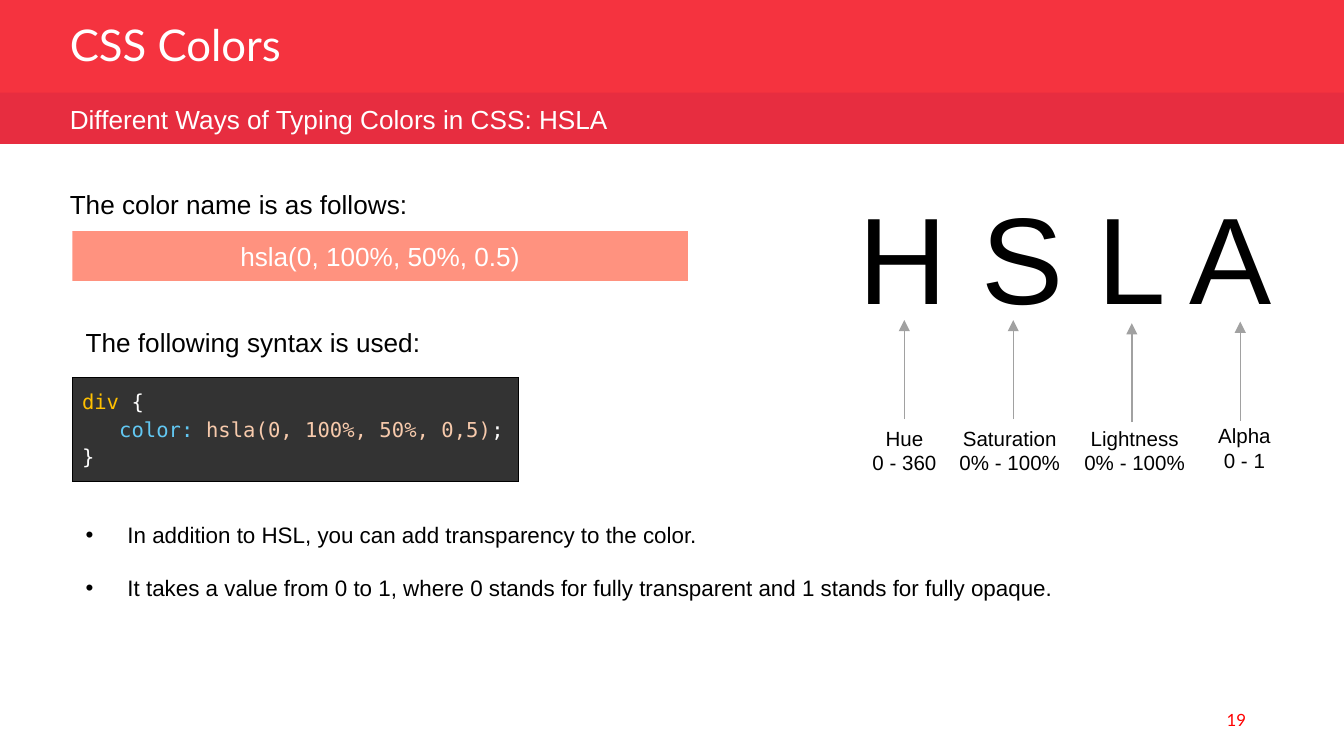
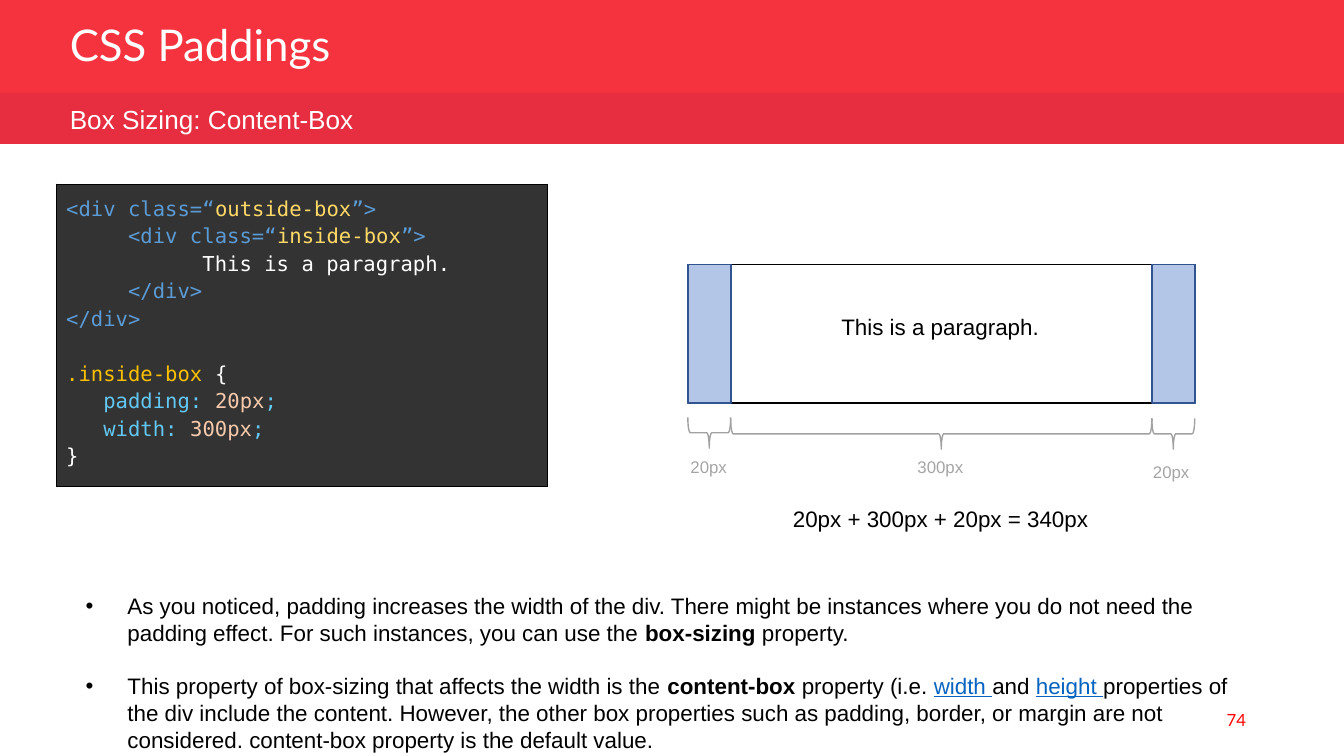
"""Build two lecture slides about CSS colors and CSS paddings."""
from lxml.etree import SubElement
from pptx import Presentation
from pptx.dml.color import RGBColor
from pptx.enum.shapes import MSO_CONNECTOR, MSO_SHAPE
from pptx.enum.text import MSO_ANCHOR, PP_ALIGN
from pptx.oxml.ns import qn
from pptx.util import Cm, Pt

COLORS = {
    "title band": "F5333F",
    "subtitle band": "E72D40",
    "page number": "FF0000",
    "white": "FFFFFF",
    "black": "000000",
    "sample": "FF2600",
    "gray": "A1A1A1",
    "measure": "A5A5A5",
    "padding": "B3C6E7",
    "padding edge": "31538F",
    "link": "0563C1",
    "code back": "333333",
    "selector": "FFC000",
    "property": "62C8F3",
    "value": "F7CAAC",
    "tag": "5B9BD5",
    "class": "FFD966",
}
BODY_FONT, TITLE_FONT, CODE_FONT = "Arial", "Lato", "DejaVu Sans Mono"
SLIDE_WIDTH, SLIDE_HEIGHT = 25.4, 14.29
MARGIN, INDENT = 1.07, 1.37

HSLA_PARTS = [
    ("Hue\n0 - 360", 16.23, 7.92, 1.73, 17.09, 7.92),
    ("Saturation\n0% - 100%", 17.88, 7.92, 2.41, 19.15, 7.92),
    ("Lightness\n0% - 100%", 20.24, 7.92, 2.41, 21.39, 7.98),
    ("Alpha\n0 - 1", 22.76, 7.87, 1.52, 23.44, 7.95),
]
ARROW_LENGTH = 1.87

HSLA_CODE = [
    [("div ", "selector"), ("{", "white")],
    [("   color: ", "property"), ("hsla(0, 100%, 50%, 0,5)", "value"), (";", "white")],
    [("}", "white")],
]
PADDING_CODE = [
    [("<div class=“", "tag"), ("outside-box", "class"), ("”>", "tag")],
    [("     <div class=“", "tag"), ("inside-box", "class"), ("”>", "tag")],
    [("           This is a paragraph.", "white")],
    [("     </div>", "tag")],
    [("</div>", "tag")],
    [],
    [(".inside-box ", "selector"), ("{", "white")],
    [("   padding: ", "property"), ("20px", "value"), (";", "property")],
    [("   width: ", "property"), ("300px", "value"), (";", "property")],
    [("}", "white")],
]
HSLA_NOTES = [
    [("In addition to HSL, you can add transparency to the color.", "black")],
    [("It takes a value from 0 to 1, where 0 stands for fully transparent "
      "and 1 stands for fully opaque.", "black")],
]
PADDING_NOTES = [
    [("As you noticed, padding increases the width of the div. There might be "
      "instances where you do not need the padding effect. For such instances, "
      "you can use the ", "black"),
     ("box-sizing", "black", "bold"),
     (" property.", "black")],
    [("This property of box-sizing that affects the width is the ", "black"),
     ("content-box ", "black", "bold"),
     ("property (i.e. ", "black"),
     ("width ", "link", "underline"),
     ("and ", "black"),
     ("height ", "link", "underline"),
     ("properties of the div include the content. However, the other box "
      "properties such as padding, border, or margin are not considered. "
      "content-box property is the default value.", "black")],
]


def rgb(name):
    """Return the named color."""
    return RGBColor.from_string(COLORS[name])


def style_span(span, size, color, font):
    """Set the font of one run."""
    span.font.size = Pt(size)
    span.font.name = font
    span.font.color.rgb = rgb(color)


def write_plain(frame, text, size, color, font=BODY_FONT, align=PP_ALIGN.LEFT):
    """Fill a text frame with text of one style."""
    frame.word_wrap = True
    frame.text = text
    for para in frame.paragraphs:
        para.alignment = align
        for span in para.runs:
            style_span(span, size, color, font)


def write_spans(frame, lines, size, font):
    """Fill a text frame with lines made of styled spans."""
    frame.word_wrap = True
    for index, line in enumerate(lines):
        para = frame.add_paragraph() if index else frame.paragraphs[0]
        for text, color, *emphasis in line:
            span = para.add_run()
            span.text = text
            style_span(span, size, color, font)
            if "bold" in emphasis:
                span.font.bold = True
            if "underline" in emphasis:
                span.font.underline = True
        if not line:
            end = SubElement(para._p, qn("a:endParaRPr"), sz=str(size * 100))
            SubElement(end, qn("a:latin"), typeface=font)


def add_text(page, text, left, top, width, height, size=14, color="black", **style):
    """Add a text box of one style and return its frame."""
    box = page.shapes.add_textbox(Cm(left), Cm(top), Cm(width), Cm(height))
    write_plain(box.text_frame, text, size, color, **style)
    return box.text_frame


def add_box(page, left, top, width, height, fill=None, line=None, kind=MSO_SHAPE.RECTANGLE,
            weight=1):
    """Add a preset shape with an optional fill and outline."""
    box = page.shapes.add_shape(kind, Cm(left), Cm(top), Cm(width), Cm(height))
    box.shadow.inherit = False
    if fill:
        box.fill.solid()
        box.fill.fore_color.rgb = rgb(fill)
    else:
        box.fill.background()
    if line:
        box.line.color.rgb = rgb(line)
        box.line.width = Pt(weight)
    else:
        box.line.fill.background()
    return box


def add_brace(page, left, top, length, depth=0.58):
    """Add a brace that opens upwards below a horizontal span."""
    shift = (length - depth) / 2
    brace = add_box(page, left + shift, top - shift, depth, length, line="gray",
                    kind=MSO_SHAPE.LEFT_BRACE, weight=0.75)
    brace.rotation = 270


def add_up_arrow(page, x, base):
    """Add an arrow that points up from its base."""
    arrow = page.shapes.add_connector(
        MSO_CONNECTOR.STRAIGHT, Cm(x), Cm(base), Cm(x), Cm(base - ARROW_LENGTH))
    arrow.line.color.rgb = rgb("gray")
    arrow.line.width = Pt(0.75)
    SubElement(arrow.get_or_add_ln(), qn("a:tailEnd"), type="triangle")
    SubElement(arrow._element.spPr, qn("a:effectLst"))


def add_code(page, lines, left, top, width, height):
    """Add a one-cell table that holds highlighted code."""
    table = page.shapes.add_table(1, 1, Cm(left), Cm(top), Cm(width), Cm(height)).table
    table.first_row = table.horz_banding = False
    cell = table.cell(0, 0)
    cell.margin_left = cell.margin_right = Cm(0.18)
    cell.margin_top = cell.margin_bottom = Cm(0.18)
    properties = cell._tc.get_or_add_tcPr()
    for side in ("lnL", "lnR", "lnT", "lnB"):
        edge = SubElement(properties, qn(f"a:{side}"), w=str(Pt(0.75)))
        fill = SubElement(edge, qn("a:solidFill"))
        SubElement(fill, qn("a:srgbClr"), val=COLORS["black"])
    cell.fill.solid()
    cell.fill.fore_color.rgb = rgb("code back")
    write_spans(cell.text_frame, lines, 11, CODE_FONT)
    for para in cell.text_frame.paragraphs:
        para.line_spacing = 1.15


def add_bullets(page, notes, top, height):
    """Add bulleted notes, one line apart."""
    box = page.shapes.add_textbox(Cm(INDENT), Cm(top), Cm(22.43), Cm(height))
    write_spans(box.text_frame, notes, 12, BODY_FONT)
    for index, para in enumerate(box.text_frame.paragraphs):
        properties = para._p.get_or_add_pPr()
        properties.set("marL", str(Cm(0.79)))
        properties.set("indent", str(-Cm(0.79)))
        color = SubElement(properties, qn("a:buClr"))
        SubElement(color, qn("a:srgbClr"), val=COLORS["black"])
        SubElement(properties, qn("a:buFont"), typeface=BODY_FONT)
        SubElement(properties, qn("a:buChar"), char="•")
        if index:
            para.space_before = Pt(14)


def add_page(deck, title, subtitle, number):
    """Add a slide with its bands, titles and page number."""
    page = deck.slides.add_slide(deck.slide_layouts[6])
    add_box(page, 0, 0, SLIDE_WIDTH, 1.78, "title band")
    add_box(page, 0, 1.75, SLIDE_WIDTH, 0.97, "subtitle band")
    heading = add_text(page, title, MARGIN, 0.36, 11.91, 1.12, 23.4, "white", font=TITLE_FONT)
    heading.vertical_anchor = MSO_ANCHOR.MIDDLE
    heading.paragraphs[0].line_spacing = 0.8
    add_text(page, subtitle, MARGIN, 1.83, 12.93, 0.86, color="white")
    footer = add_text(page, number, 18.08, 13.23, 5.72, 0.76, 9, "page number",
                      font=TITLE_FONT, align=PP_ALIGN.RIGHT)
    footer.vertical_anchor = MSO_ANCHOR.MIDDLE
    return page


def build_colors(deck):
    """Build the slide about HSLA colors."""
    page = add_page(deck, "CSS Colors", "Different Ways of Typing Colors in CSS: HSLA", "19")
    add_text(page, "The color name is as follows:", MARGIN, 3.43, 7.82, 0.86)
    sample = add_box(page, INDENT, 4.37, 11.63, 0.94, "sample")
    color = sample._element.spPr.find(f".//{qn('a:srgbClr')}")
    SubElement(color, qn("a:alpha"), val="50000")
    write_plain(sample.text_frame, "hsla(0, 100%, 50%, 0.5)", 14, "white",
                align=PP_ALIGN.CENTER)
    add_text(page, "The following syntax is used:", INDENT, 6.05, 9.19, 0.86)
    add_code(page, HSLA_CODE, INDENT, 7.14, 8.43, 1.9)
    add_text(page, "H S L A", 15.98, 3.3, 8.61, 3.07, 66)
    for label, left, top, width, arrow_x, arrow_base in HSLA_PARTS:
        add_text(page, label, left, top, width, 1.19, 11, align=PP_ALIGN.CENTER)
        add_up_arrow(page, arrow_x, arrow_base)
    add_bullets(page, HSLA_NOTES, 9.73, 2.31)


def build_paddings(deck):
    """Build the slide about content-box sizing."""
    page = add_page(deck, "CSS Paddings", "Box Sizing: Content-Box", "74")
    add_code(page, PADDING_CODE, MARGIN, 3.48, 9.27, 5.66)
    left, top, width, height, padding = 13, 5, 9.58, 2.62, 0.81
    content_left, right_padding = left + padding, left + width - padding
    add_box(page, left, top, width, height, line="black")
    add_text(page, "This is a paragraph.", 15.65, 5.79, 4.29, 0.76, 12)
    for padding_left in (left, right_padding):
        add_box(page, padding_left, top, padding, height, "padding", "padding edge")
    measures = [
        ("20px", left, 7.89, padding, 12.8, 8.51, 1.22),
        ("300px", content_left, 7.91, width - 2 * padding, 17.09, 8.51, 1.4),
        ("20px", right_padding, 7.91, padding, 21.54, 8.61, 1.22),
    ]
    for label, brace_left, brace_top, length, label_left, label_top, label_width in measures:
        add_brace(page, brace_left, brace_top, length)
        add_text(page, label, label_left, label_top, label_width, 0.64, 9, "measure")
    add_text(page, "20px + 300px + 20px = 340px", 13.79, 9.42, 7.98, 0.76, 12,
             align=PP_ALIGN.CENTER)
    add_bullets(page, PADDING_NOTES, 11.07, 3.2)


def main():
    """Build and save the deck."""
    deck = Presentation()
    deck.slide_width, deck.slide_height = Cm(SLIDE_WIDTH), Cm(SLIDE_HEIGHT)
    build_colors(deck)
    build_paddings(deck)
    deck.save("out.pptx")


if __name__ == "__main__":
    main()
